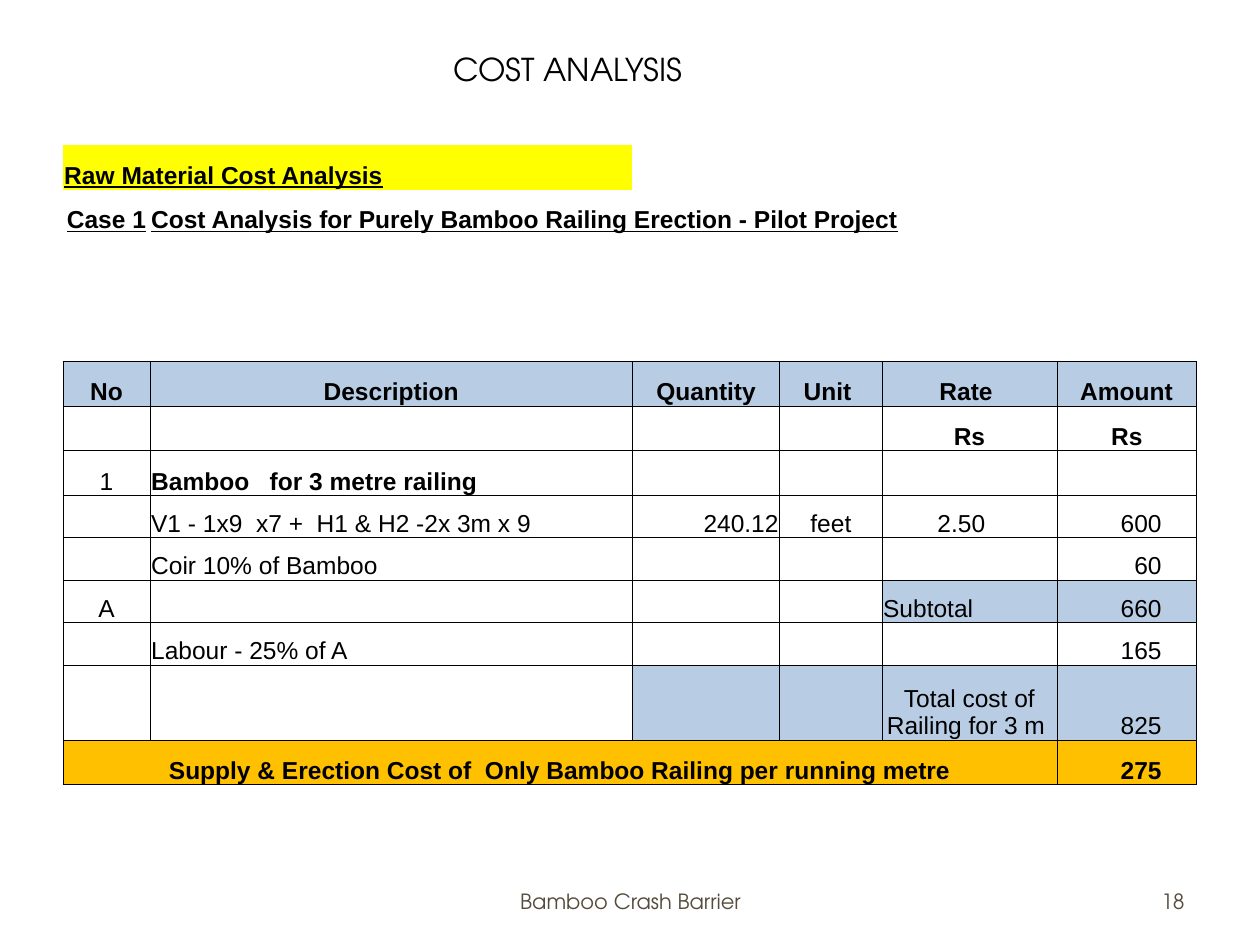
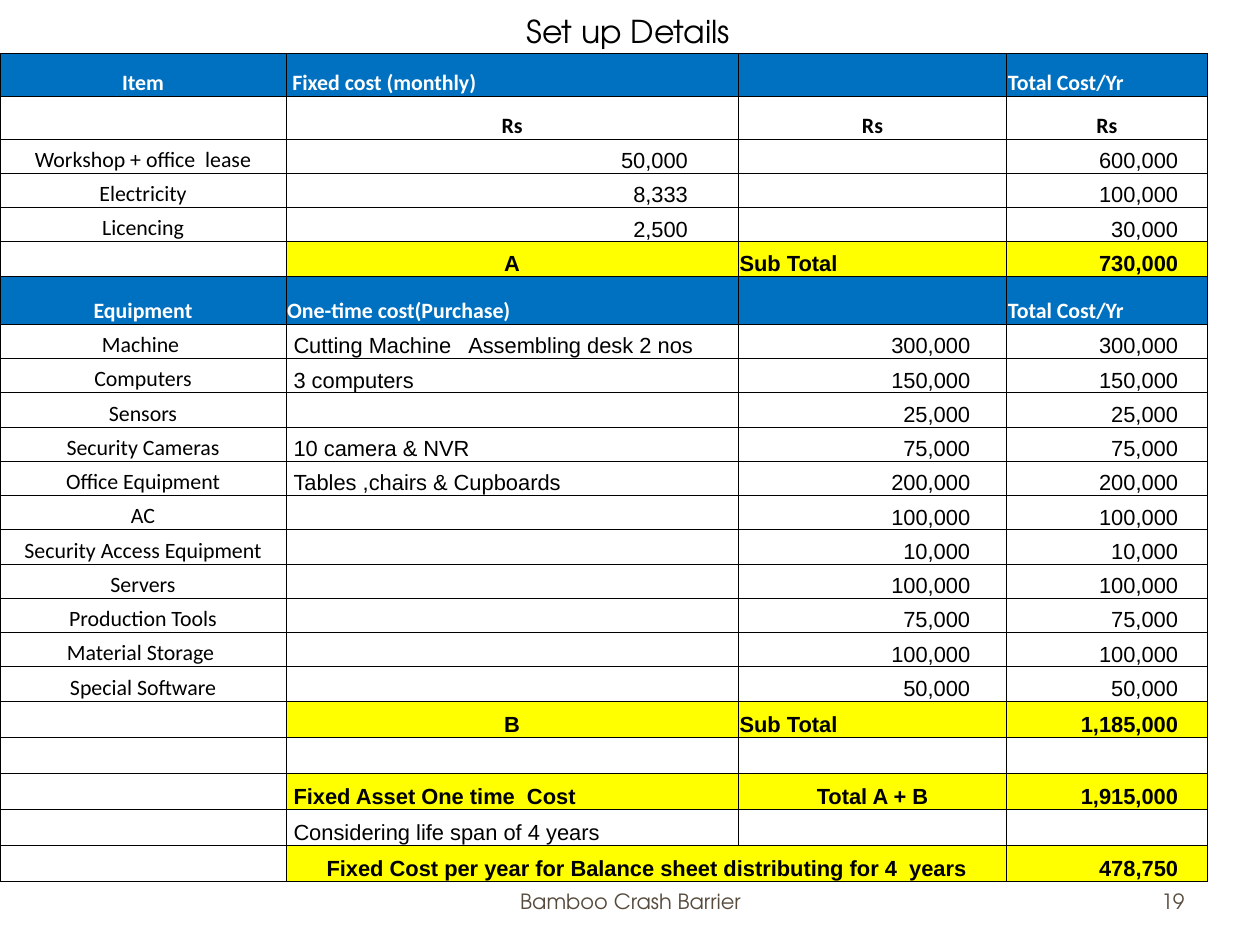
import pptx
import pptx.dml.color
import pptx.enum.shapes
import pptx.enum.text
import pptx.oxml.ns
import pptx.util
from lxml import etree

Inches = pptx.util.Inches
qn = pptx.oxml.ns.qn
ALIGN = pptx.enum.text.PP_ALIGN
ANCHOR = pptx.enum.text.MSO_ANCHOR
LEFT, CENTER, RIGHT = ALIGN.LEFT, ALIGN.CENTER, ALIGN.RIGHT

COLORS = {
    "black": "000000", "white": "FFFFFF", "footer": "564B3C", "yellow": "FFFF00",
    "pale_blue": "B8CCE4", "blue": "0070C0", "orange": "FFC000",
}
TITLE_FONT = "TeX Gyre Adventor"
FOOTER = "Bamboo Crash Barrier"

# Row shares divide the table height in proportion.
# Format rules are (rows, columns, format); later rules win.
ALL = range(100)

COST = {
    "at": (0.5, 1.15, 5.08),
    "widths": [0.69, 3.83, 1.17, 0.73, 0.08, 1.39, 1.11],
    "shares": [25.5] * 2 + [24.2] * 3 + [25.5] * 3 + [24.2] * 4 + [42.8, 25.5],
    "rows": [
        ["Raw Material Cost Analysis"],
        ["Case 1 ", "Cost Analysis for Purely Bamboo Railing Erection - Pilot Project"],
        [], [], [],
        ["No", "Description", "Quantity", "Unit ", "", "Rate ", " Amount "],
        ["", "", "", "", "", "Rs", " Rs "],
        ["1", "Bamboo   for 3 metre railing"],
        ["", "V1 - 1x9  x7 +  H1 & H2 -2x 3m x 9", "240.12", "feet", "", "2.50", "600"],
        ["", "Coir 10% of Bamboo", "", "", "", "", "60"],
        ["A", "", "", "", "", "Subtotal", "660"],
        ["", "Labour - 25% of A", "", "", "", "", "165"],
        ["", "", "", "", "", "Total cost of Railing for 3 m ", "825"],
        ["Supply & Erection Cost of  Only Bamboo Railing per running metre",
         "", "", "", "", "", "275"],
    ],
    "merges": [(0, 0, 1), (0, 4, 5), (1, 1, 5), (13, 0, 5),
               *[(row, 3, 4) for row in range(2, 13)]],
    "rules": [
        (ALL, ALL, dict(size=14, font="Arial")),
        (ALL, [0, 3], dict(align=CENTER)),
        (ALL, [2], dict(align=RIGHT)),
        (ALL, [6], dict(align=RIGHT, right=0.28)),
        (range(5), ALL, dict(bold=True, underline=True, borders="")),
        ([4], ALL, dict(borders="B")),
        ([0], [0], dict(align=LEFT, fill="yellow")),
        ([5, 6], ALL, dict(bold=True, align=CENTER, right=0.01)),
        ([5], ALL, dict(fill="pale_blue")),
        ([7], [1], dict(bold=True)),
        ([8], [5], dict(align=RIGHT, right=0.57)),
        ([10], [5, 6], dict(fill="pale_blue")),
        ([12], range(2, 7), dict(fill="pale_blue")),
        ([12], [5], dict(align=CENTER)),
        ([13], ALL, dict(bold=True, fill="orange")),
    ],
}

# Equipment, what is bought, cost; the cost is also the total of the year.
EQUIPMENT = [
    ("Machine ", "Cutting Machine   Assembling desk 2 nos", "300,000"),
    ("Computers", "3 computers", "150,000"),
    ("Sensors", "", "25,000"),
    ("Security Cameras", "10 camera & NVR", "75,000"),
    ("Office Equipment", "Tables ,chairs & Cupboards", "200,000"),
    ("AC", "", "100,000"),
    ("Security Access Equipment", "", "10,000"),
    ("Servers", "", "100,000"),
    ("Production Tools", "", "75,000"),
    ("Material Storage ", "", "100,000"),
    ("Special Software", "", "50,000"),
]
SETUP = {
    "at": (0, 0.42, 6.58),
    "widths": [2.27, 3.59, 2.13, 1.59],
    "shares": [24.6] * 2 + [19.6] * 4 + [27.4] + [19.6] * 11 + [20.6] * 5,
    "rows": [
        ["Item", "Fixed cost (monthly)", "", "Total Cost/Yr"],
        ["", " Rs ", " Rs ", " Rs "],
        ["Workshop + office  lease", "50,000", "", "600,000"],
        ["Electricity", "8,333", "", "100,000"],
        ["Licencing", "2,500", "", "30,000"],
        ["", "A", "Sub Total", "730,000"],
        ["Equipment", "One-time cost(Purchase)", "", "Total Cost/Yr"],
        *[[name, purchase, cost, cost] for name, purchase, cost in EQUIPMENT],
        ["", "B", "Sub Total", "1,185,000"],
        [],
        ["", "Fixed Asset One time  Cost", "Total A + B", "1,915,000"],
        ["", "Considering life span of 4 years"],
        ["", " Fixed Cost per year for Balance sheet distributing for 4  years ",
         "", "478,750"],
    ],
    "merges": [(22, 1, 2)],
    "rules": [
        (ALL, ALL, dict(size=12.5, font="Arial")),
        (ALL, [0], dict(font="Calibri", align=CENTER)),
        (ALL, [1], dict(left=0.06)),
        (range(2, 5), [1], dict(align=RIGHT, right=0.4)),
        (ALL, [2], dict(align=RIGHT, right=0.29)),
        (ALL, [3], dict(align=RIGHT, right=0.23)),
        ([0, 1, 6], ALL, dict(font="Calibri", bold=True, right=0.01)),
        ([0, 6], ALL, dict(color="white", fill="blue")),
        ([0, 6], [3], dict(align=LEFT)),
        ([0], [1], dict(left=0.05)),
        ([1, 6], [1], dict(left=0.01)),
        ([1], ALL, dict(align=CENTER)),
        ([5, 18, 20, 22], [1, 2, 3], dict(bold=True, fill="yellow")),
        ([5, 18, 22], [1], dict(align=CENTER, left=0.01)),
        ([5, 18], [2], dict(align=LEFT)),
        ([20], [2], dict(align=CENTER, right=0.01)),
    ],
}

SLIDES = [
    dict(title="COST ANALYSIS", title_at=(3.5, 0.35, 2.07, 0.4), number=18, table=COST),
    dict(title="Set up Details", title_at=(4.08, 0.05, 2.18, 0.4), number=19, table=SETUP),
]


def rgb(name):
    return pptx.dml.color.RGBColor.from_string(COLORS[name])


def put_text(tf, text, size=12, font=TITLE_FONT, color="black", bold=False,
             underline=False, align=LEFT):
    p = tf.paragraphs[0]
    p.alignment = align
    if not text:  # keeps an empty cell from growing its row
        etree.SubElement(p._p, qn("a:endParaRPr"), sz=str(int(size * 100)))
        return
    r = p.add_run()
    r.text = text
    r.font.size = pptx.util.Pt(size)
    r.font.name = font
    r.font.bold = bold
    r.font.underline = underline
    r.font.color.rgb = rgb(color)


def add_text(s, at, text, anchor=ANCHOR.TOP, wrap=True, **fmt):
    tf = s.shapes.add_textbox(*map(Inches, at)).text_frame
    tf.word_wrap = wrap
    tf.vertical_anchor = anchor
    put_text(tf, text, **fmt)


def add_panel(s):
    """Add the rounded white sheet behind the content."""
    sp = s.shapes.add_shape(pptx.enum.shapes.MSO_SHAPE.ROUNDED_RECTANGLE,
                            *map(Inches, (0.1, 0.11, 9.8, 7.29)))
    sp.adjustments[0] = 0.02
    sp.shadow.inherit = False
    sp.fill.solid()
    sp.fill.fore_color.rgb = rgb("white")
    sp.line.fill.background()


def set_borders(cell, sides):
    """Draw the named sides (of L, R, T, B) and clear the others."""
    tcPr = cell._tc.get_or_add_tcPr()
    for i, side in enumerate("LRTB"):
        ln = etree.Element(qn(f"a:ln{side}"), w=str(pptx.util.Pt(0.5)))
        if side in sides:
            fill = etree.SubElement(ln, qn("a:solidFill"))
            etree.SubElement(fill, qn("a:srgbClr"), val=COLORS["black"])
        else:
            etree.SubElement(ln, qn("a:noFill"))
        tcPr.insert(i, ln)


def format_cell(cell, text, fill=None, borders="LRTB", left=0.01, right=0.01, **fmt):
    cell.margin_left, cell.margin_right = Inches(left), Inches(right)
    cell.margin_top, cell.margin_bottom = Inches(0.01), 0
    cell.vertical_anchor = ANCHOR.BOTTOM
    if fill:
        cell.fill.solid()
        cell.fill.fore_color.rgb = rgb(fill)
    else:
        cell.fill.background()
    set_borders(cell, borders)
    put_text(cell.text_frame, text, **fmt)


def add_cost_table(s, spec):
    left, top, height = spec["at"]
    widths, shares, rows = spec["widths"], spec["shares"], spec["rows"]
    table = s.shapes.add_table(len(rows), len(widths), Inches(left), Inches(top),
                               Inches(sum(widths)), Inches(height)).table
    table.first_row = table.horz_banding = False
    for column, width in zip(table.columns, widths):
        column.width = Inches(width)
    for row, share in zip(table.rows, shares):
        row.height = Inches(height * share / sum(shares))
    for row, first, last in spec["merges"]:
        table.cell(row, first).merge(table.cell(row, last))
    for i, texts in enumerate(rows):
        for j in range(len(widths)):
            fmt = {}
            for in_rows, in_columns, rule in spec["rules"]:
                if i in in_rows and j in in_columns:
                    fmt.update(rule)
            format_cell(table.cell(i, j), texts[j] if j < len(texts) else "", **fmt)


def main():
    prs = pptx.Presentation()
    prs.slide_width, prs.slide_height = Inches(10), Inches(7.5)
    for page in SLIDES:
        s = prs.slides.add_slide(prs.slide_layouts[6])
        add_panel(s)
        add_text(s, page["title_at"], page["title"], wrap=False, size=18)
        footer = dict(anchor=ANCHOR.MIDDLE, color="footer")
        add_text(s, (3.42, 6.95, 3.17, 0.4), FOOTER, align=CENTER, **footer)
        add_text(s, (7.17, 6.95, 2.33, 0.4), str(page["number"]), align=RIGHT, **footer)
        add_cost_table(s, page["table"])
    prs.save("out.pptx")


if __name__ == "__main__":
    main()
